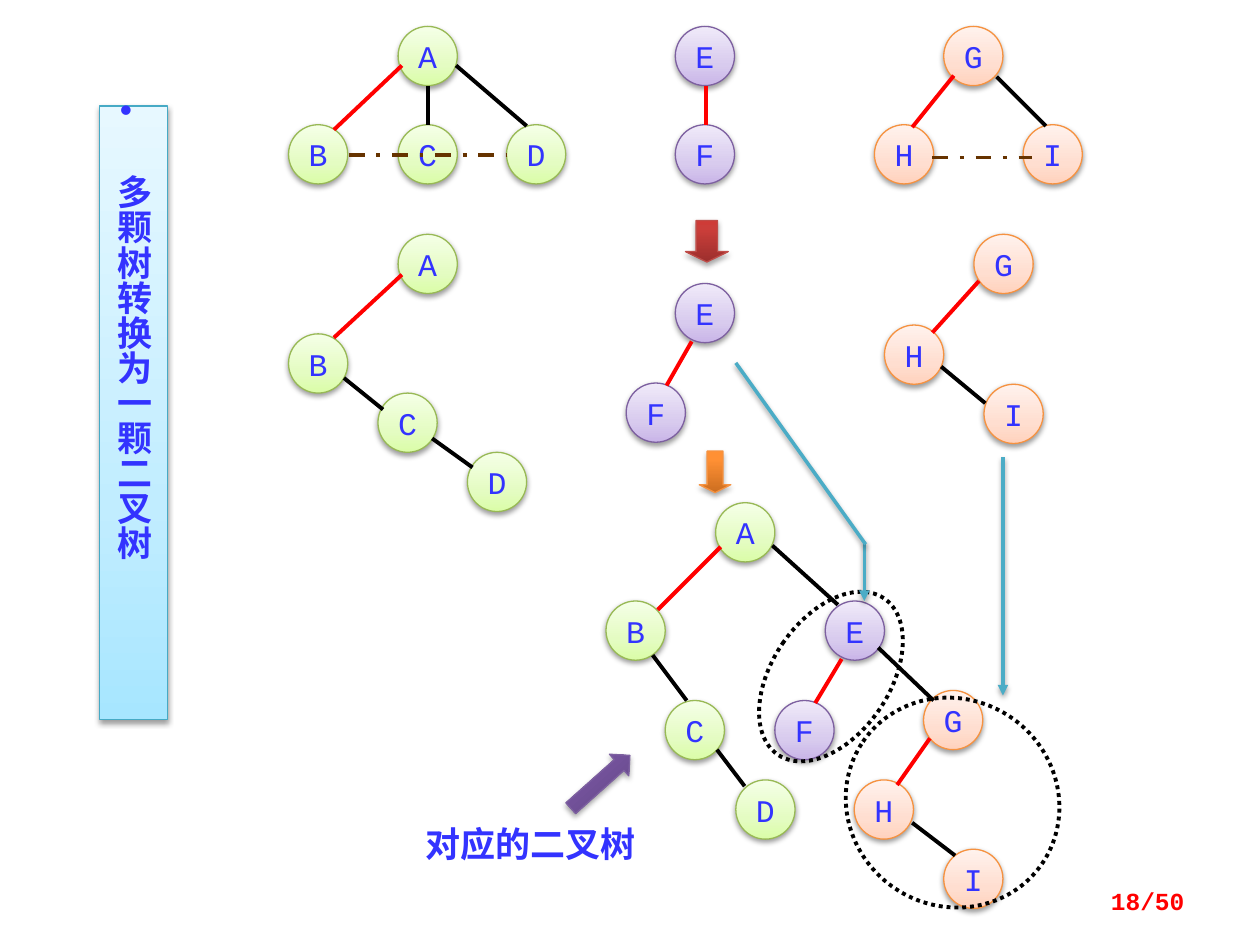
from lxml import etree
from pptx import Presentation
from pptx import util as u
from pptx.dml.color import RGBColor
from pptx.enum import dml, shapes, text
from pptx.oxml import parse_xml
from pptx.oxml.ns import nsdecls, qn

BLUE = RGBColor(0x33, 0x33, 0xFF)
RED = RGBColor(0xFF, 0x00, 0x00)
BLACK = RGBColor(0x00, 0x00, 0x00)
BROWN = RGBColor(0x66, 0x33, 0x00)
TEAL = RGBColor(0x4B, 0xAC, 0xC6)

LIGHT_STOPS = (0, 35, 100)
DARK_STOPS = (0, 80, 100)


def palette(stops, colors, line):
    return list(zip(stops, map(RGBColor.from_string, colors))), RGBColor.from_string(line)


GREEN = palette(LIGHT_STOPS, ("DAFDA7", "E4FCC2", "F5FFE7"), "98B955")
PURPLE = palette(LIGHT_STOPS, ("C9B5E8", "D8CBEE", "F0EAF9"), "7D60A0")
ORANGE = palette(LIGHT_STOPS, ("FFD2BD", "FFDED0", "FFF2ED"), "F69240")
SKY = palette(LIGHT_STOPS, ("A7E6FF", "C1EDFF", "E7F8FF"), "46AAC5")
RED_ARROW = palette(DARK_STOPS, ("9C2F2D", "CB3E3A", "CE3B37"), "BF4C48")
ORANGE_ARROW = palette(DARK_STOPS, ("CC6E20", "FF9034", "FF9136"), "F69240")
PURPLE_ARROW = palette(DARK_STOPS, ("5F4480", "7B58A6", "7C57A8"), "7D60A0")

NODE_SIZE = 0.47
NODE_PALETTES = {**dict.fromkeys("ABCD", GREEN), **dict.fromkeys("EF", PURPLE),
                 **dict.fromkeys("GHI", ORANGE)}

# Each tree: nodes (left, top), first-child edges, other edges (x1, y1, x2, y2).
FOREST = [
    ({"A": (3.16, 0.21), "B": (2.29, 0.99), "C": (3.16, 0.99), "D": (4.02, 0.99)},
     [(3.19, 0.52, 2.65, 1.03)],
     [(3.4, 0.68, 3.4, 0.99), (3.62, 0.52, 4.18, 1)]),
    ({"E": (5.36, 0.21), "F": (5.36, 0.99)}, [(5.6, 0.68, 5.6, 0.99)], []),
    ({"G": (7.49, 0.21), "H": (6.94, 0.99), "I": (8.12, 0.99)},
     [(7.57, 0.6, 7.24, 1.01)], [(7.91, 0.61, 8.3, 1)]),
]
BINARY_TREES = [
    ({"A": (3.16, 1.86), "B": (2.29, 2.65), "C": (3, 3.12), "D": (3.71, 3.59)},
     [(3.19, 2.18, 2.65, 2.68)],
     [(2.73, 3, 3.04, 3.25), (3.43, 3.48, 3.75, 3.71)]),
    ({"E": (5.36, 2.25), "F": (4.97, 3.04)}, [(5.49, 2.71, 5.29, 3.06)], []),
    ({"G": (7.73, 1.86), "H": (7.02, 2.58), "I": (7.81, 3.05)},
     [(7.77, 2.23, 7.4, 2.64)], [(7.47, 2.91, 7.82, 3.2)]),
]
MERGED_TREE = (
    {"G": (7.33, 5.48), "H": (6.78, 6.19), "I": (7.49, 6.74),
     "A": (5.68, 3.99), "B": (4.81, 4.77), "C": (5.28, 5.56), "D": (5.84, 6.19),
     "E": (6.55, 4.77), "F": (6.15, 5.56)},
    [(7.38, 5.86, 7.12, 6.23), (5.72, 4.34, 5.22, 4.84), (6.68, 5.23, 6.47, 5.58)],
    [(7.24, 6.53, 7.58, 6.79), (5.18, 5.2, 5.45, 5.56), (5.69, 5.95, 5.91, 6.24),
     (6.13, 4.33, 6.65, 4.8), (6.97, 5.14, 7.41, 5.56)],
)


class Diagram:
    """Draws tree diagram elements on one slide in a shared style."""

    font_name = "Courier New"
    cjk_font = "Noto Sans CJK SC"

    def __init__(self, slide):
        self.slide = slide

    def shadow(self, shape, alpha=38, distance=1.6):
        properties = shape._element.spPr
        for old in properties.findall(qn("a:effectLst")):
            properties.remove(old)
        properties.append(parse_xml(
            f'<a:effectLst {nsdecls("a")}><a:outerShdw blurRad="{u.Pt(3.1)}" '
            f'dist="{u.Pt(distance)}" dir="5400000" rotWithShape="0"><a:srgbClr val="000000">'
            f'<a:alpha val="{alpha * 1000}"/></a:srgbClr></a:outerShdw></a:effectLst>'))

    def paint(self, shape, colors):
        """Apply an upward gradient and a thin outline."""
        stops, line = colors
        shape.fill.gradient()
        shape.fill.gradient_angle = 90
        stop_list = shape._element.spPr.find(f".//{qn('a:gsLst')}")
        for old in list(stop_list):
            stop_list.remove(old)
        for position, color in stops:
            stop = etree.SubElement(stop_list, qn("a:gs"), pos=str(position * 1000))
            etree.SubElement(stop, qn("a:srgbClr"), val=str(color))
        shape.line.color.rgb = line
        shape.line.width = u.Pt(0.75)

    def set_text(self, shape, words, size, color=BLUE, bold=False, font=font_name,
                 align=text.PP_ALIGN.LEFT):
        paragraph = shape.text_frame.paragraphs[0]
        paragraph.text = words
        paragraph.alignment = align
        paragraph.font.size = u.Pt(size)
        paragraph.font.bold = bold
        paragraph.font.color.rgb = color
        paragraph.font.name = font
        etree.SubElement(paragraph.font._element, qn("a:ea"), typeface=self.cjk_font)

    def banner(self, words, left, top, width, height):
        """Turn the title placeholder into a bulleted vertical banner."""
        title = self.slide.shapes.title
        title.left, title.top = u.Inches(left), u.Inches(top)
        title.width, title.height = u.Inches(width), u.Inches(height)
        self.paint(title, SKY)
        self.shadow(title)
        frame = title.text_frame
        frame.vertical_anchor = text.MSO_ANCHOR.TOP
        frame.auto_size = text.MSO_AUTO_SIZE.NONE
        frame._txBody.bodyPr.set("vert", "eaVert")
        properties = frame.paragraphs[0]._p.get_or_add_pPr()
        properties.set("marL", str(u.Inches(0.5)))
        properties.set("indent", str(u.Inches(-0.5)))
        etree.SubElement(properties, qn("a:buFont"), typeface="Arial")
        etree.SubElement(properties, qn("a:buChar"), char="•")
        self.set_text(title, words, 20, bold=True, align=text.PP_ALIGN.CENTER)

    def shape(self, kind, left, top, width, height, rotation=0):
        shape = self.slide.shapes.add_shape(kind, *map(u.Inches, (left, top, width, height)))
        shape.shadow.inherit = False
        shape.rotation = rotation
        return shape

    def node(self, letter, left, top):
        node = self.shape(shapes.MSO_SHAPE.OVAL, left, top, NODE_SIZE, NODE_SIZE)
        self.paint(node, NODE_PALETTES[letter])
        self.shadow(node)
        node.text_frame.word_wrap = False
        node.text_frame.vertical_anchor = text.MSO_ANCHOR.MIDDLE
        self.set_text(node, letter, 18, align=text.PP_ALIGN.CENTER)

    def line(self, ends, color, width=2.25, dash=None, arrow=False):
        line = self.slide.shapes.add_connector(
            shapes.MSO_CONNECTOR.STRAIGHT, *map(u.Inches, ends))
        line.line.color.rgb = color
        line.line.width = u.Pt(width)
        if dash:
            line.line.dash_style = dash
        if arrow:
            etree.SubElement(line.line._get_or_add_ln(), qn("a:tailEnd"), type="triangle")
        etree.SubElement(line._element.spPr, qn("a:effectLst"))
        return line

    def tree(self, nodes, first_child_edges, other_edges):
        for letter, place in nodes.items():
            self.node(letter, *place)
        for edges, color in ((first_child_edges, RED), (other_edges, BLACK)):
            for ends in edges:
                self.line(ends, color)

    def block_arrow(self, kind, colors, *place, rotation=0, head=0.5):
        arrow = self.shape(kind, *place, rotation=rotation)
        arrow.adjustments[1] = head
        self.paint(arrow, colors)
        self.shadow(arrow, 35, 1.8)

    def dotted_ring(self, *place):
        ring = self.shape(shapes.MSO_SHAPE.OVAL, *place, rotation=34.2)
        ring.fill.background()
        ring.line.color.rgb = BLACK
        ring.line.width = u.Pt(2.25)
        ring.line.dash_style = dml.MSO_LINE.ROUND_DOT

    def label(self, words, left, top, width, height, size, anchor=text.MSO_ANCHOR.TOP, **style):
        box = self.slide.shapes.add_textbox(*map(u.Inches, (left, top, width, height)))
        box.text_frame.word_wrap = True
        box.text_frame.vertical_anchor = anchor
        self.set_text(box, words, size, bold=True, **style)


def main():
    presentation = Presentation()
    presentation.slide_width, presentation.slide_height = u.Inches(10), u.Inches(7.5)
    diagram = Diagram(presentation.slides.add_slide(presentation.slide_layouts[5]))
    down = shapes.MSO_SHAPE.DOWN_ARROW

    diagram.banner("多颗树转换为一颗二叉树", 0.79, 0.84, 0.54, 4.87)
    for tree in FOREST + BINARY_TREES + [MERGED_TREE]:
        diagram.tree(*tree)
    for sibling_link in ((2.77, 1.23, 4.02, 1.23), (7.4, 1.25, 8.19, 1.25)):
        diagram.line(sibling_link, BROWN, dash=dml.MSO_LINE.DASH_DOT)

    diagram.block_arrow(down, RED_ARROW, 5.44, 1.75, 0.34, 0.33, head=0.25)
    diagram.block_arrow(down, ORANGE_ARROW, 5.55, 3.58, 0.25, 0.33, head=0.25)
    diagram.dotted_ring(6.13, 4.62, 0.93, 1.5)
    diagram.dotted_ring(6.7, 5.55, 1.72, 1.64)
    for ends, arrow in (((6.86, 4.3, 6.86, 4.77), True), ((6.87, 4.32, 5.84, 2.88), False),
                        ((7.96, 3.63, 7.96, 5.52), True)):
        diagram.shadow(diagram.line(ends, TEAL, width=2, arrow=arrow))

    diagram.label("对应的二叉树", 3.28, 6.48, 2.11, 0.44, 20, font=Diagram.cjk_font)
    diagram.block_arrow(shapes.MSO_SHAPE.RIGHT_ARROW, PURPLE_ARROW, 4.45, 6.09, 0.63, 0.23,
                        rotation=318.2)
    diagram.label("18/50", 7.17, 6.95, 2.33, 0.4, 14, text.MSO_ANCHOR.MIDDLE, color=RED,
                  align=text.PP_ALIGN.RIGHT)
    presentation.save("out.pptx")


if __name__ == "__main__":
    main()
